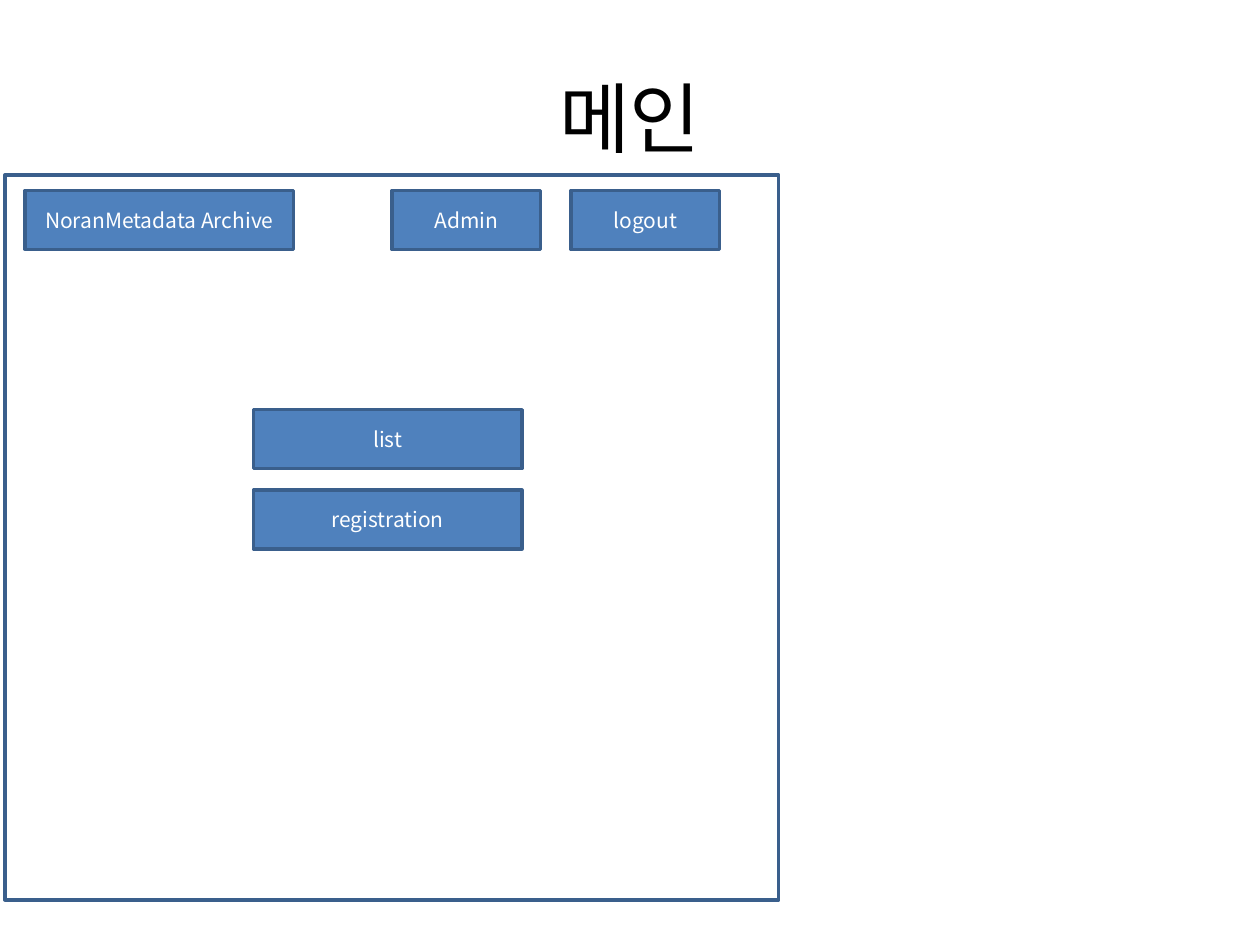
import dataclasses

import pptx
import pptx.dml.color
import pptx.enum.shapes
import pptx.enum.text
import pptx.oxml.ns
import pptx.util
from lxml import etree

Cm = pptx.util.Cm
Color = pptx.dml.color.RGBColor


@dataclasses.dataclass(frozen=True)
class Theme:
    font: str = "Noto Sans CJK KR"
    title_size: float = 44
    label_size: float = 12
    line_width: float = 2
    ink: str = "000000"
    fill: str = "4F81BD"
    edge: str = "3A5F8C"
    label: str = "FFFFFF"


@dataclasses.dataclass(frozen=True)
class Button:
    text: str
    left: float
    top: float
    width: float


THEME = Theme()

# Button grid, in centimetres
WIDE, NARROW, HEIGHT = 5.41, 3.0, 1.19
HEADER_TOP, MENU_LEFT, MENU_TOP, MENU_STEP = 3.84, 5.11, 8.26, 1.62

HEADER = [
    Button("NoranMetadata Archive", 0.51, HEADER_TOP, WIDE),
    Button("Admin", 7.9, HEADER_TOP, NARROW),
    Button("logout", 11.51, HEADER_TOP, NARROW),
]
MENU = [
    Button(text, MENU_LEFT, MENU_TOP + row * MENU_STEP, WIDE)
    for row, text in enumerate(["list", "registration"])
]


def write_text(shape, text: str, size: float, color: str) -> None:
    frame = shape.text_frame
    frame.text = text
    frame.word_wrap = True
    frame.vertical_anchor = pptx.enum.text.MSO_ANCHOR.MIDDLE
    para = frame.paragraphs[0]
    para.alignment = pptx.enum.text.PP_ALIGN.CENTER
    para.font.size = pptx.util.Pt(size)
    para.font.color.rgb = Color.from_string(color)
    para.font.name = THEME.font
    # Hangul takes its typeface from the East Asian font
    span = para.runs[0]
    east_asian = etree.SubElement(
        span._r.get_or_add_rPr(), pptx.oxml.ns.qn("a:ea"))
    east_asian.set("typeface", THEME.font)


def add_box(page, left: float, top: float, width: float, height: float):
    box = page.shapes.add_shape(
        pptx.enum.shapes.MSO_SHAPE.RECTANGLE,
        Cm(left), Cm(top), Cm(width), Cm(height))
    box.shadow.inherit = False
    box.line.color.rgb = Color.from_string(THEME.edge)
    box.line.width = pptx.util.Pt(THEME.line_width)
    return box


def add_button(page, button: Button) -> None:
    box = add_box(page, button.left, button.top, button.width, HEIGHT)
    box.fill.solid()
    box.fill.fore_color.rgb = Color.from_string(THEME.fill)
    write_text(box, button.text, THEME.label_size, THEME.label)


def main() -> None:
    deck = pptx.Presentation()
    deck.slide_width, deck.slide_height = Cm(25.4), Cm(19.05)
    page = deck.slides.add_slide(deck.slide_layouts[5])

    # Title
    title = page.shapes.title
    title.left, title.top = Cm(1.27), Cm(0.76)
    title.width, title.height = Cm(22.86), Cm(3.18)
    write_text(title, "메인", THEME.title_size, THEME.ink)

    # Window outline, behind the title
    window = add_box(page, 0.1, 3.53, 15.6, 14.61)
    window.fill.background()
    title._element.addprevious(window._element)

    # Header and menu buttons
    for button in HEADER + MENU:
        add_button(page, button)

    deck.save("out.pptx")


if __name__ == "__main__":
    main()
